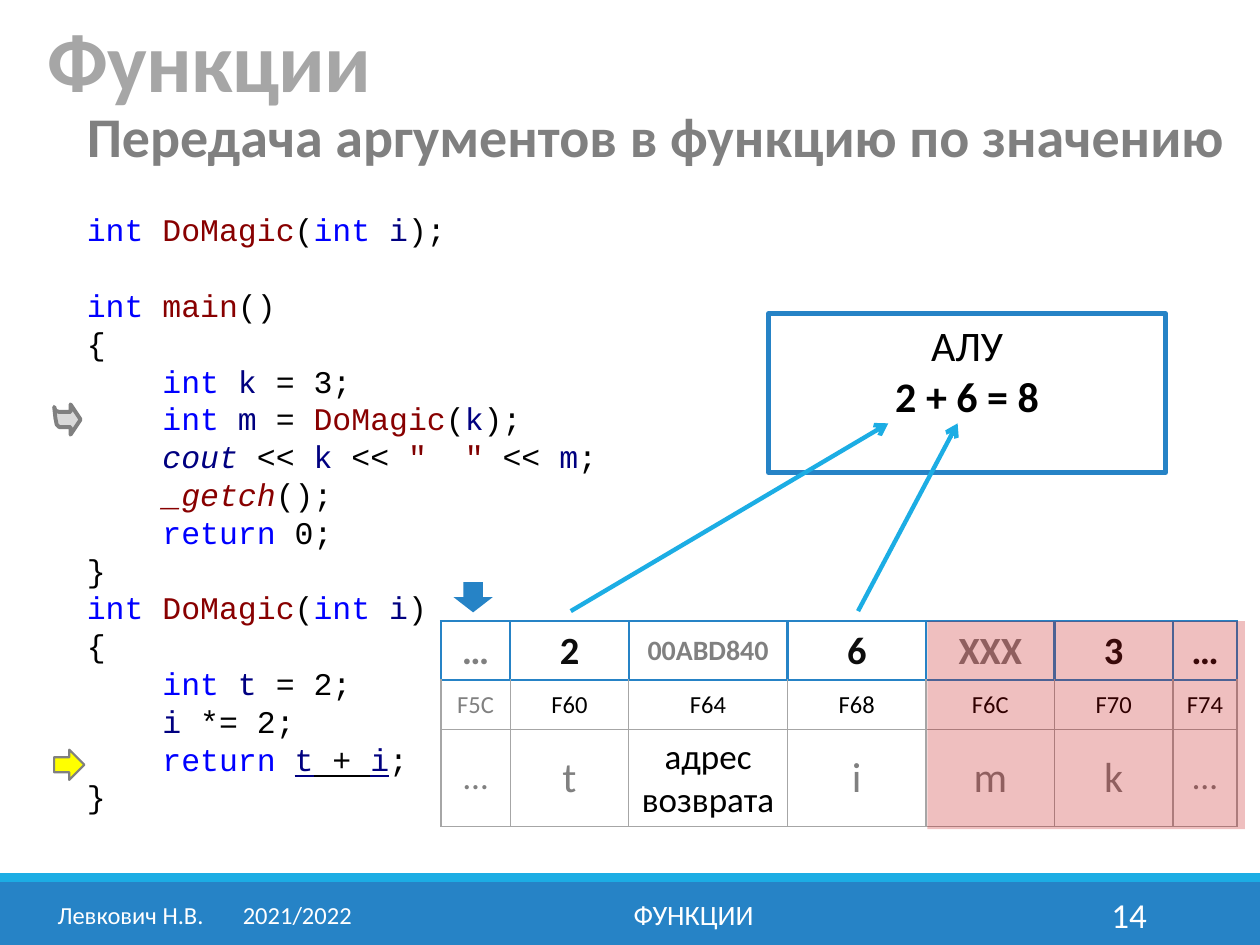
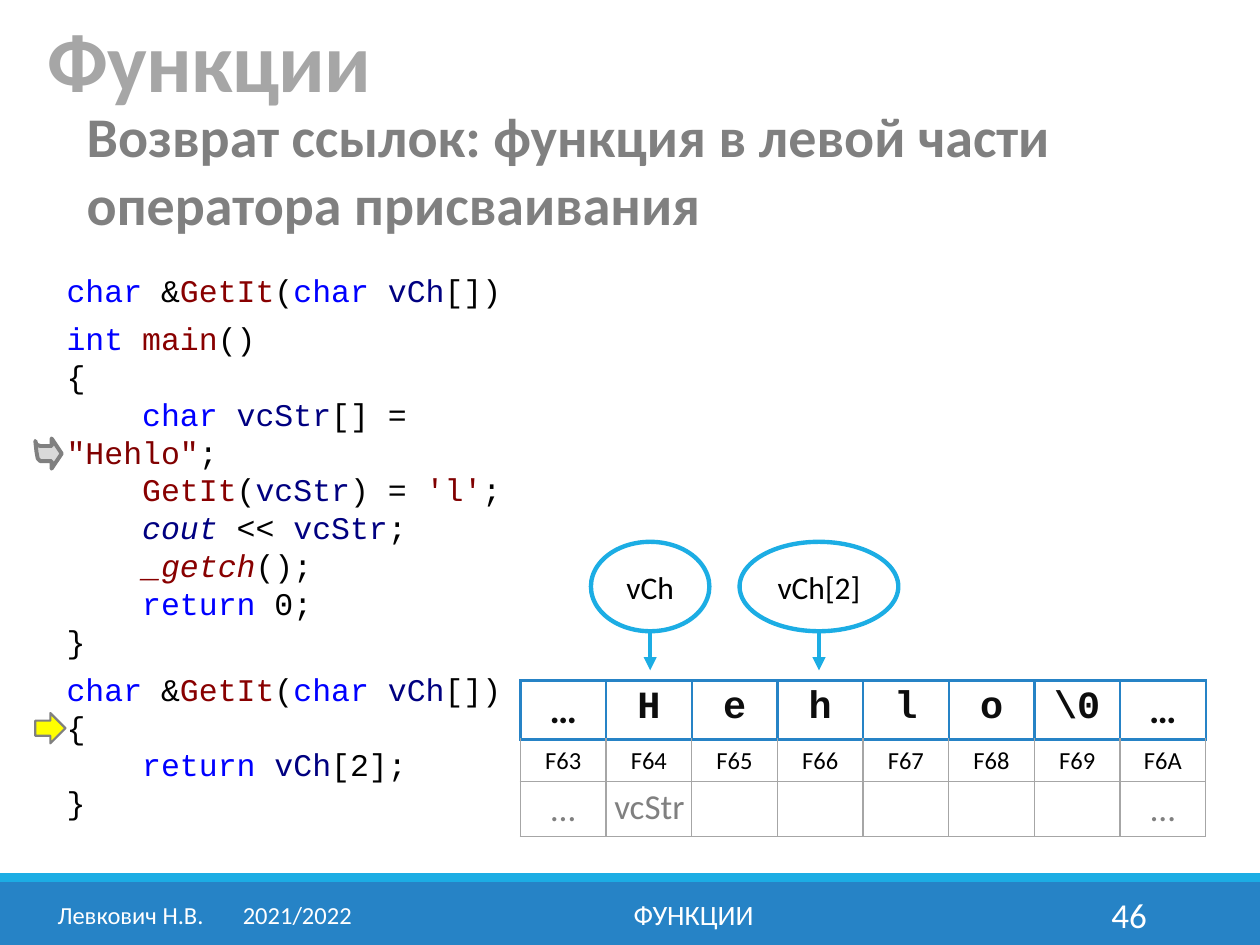
from lxml.etree import SubElement
from pptx import Presentation
from pptx.dml.color import RGBColor
from pptx.enum.shapes import MSO_CONNECTOR, MSO_SHAPE as SHAPE
from pptx.enum.text import MSO_ANCHOR as ANCHOR, MSO_AUTO_SIZE as AUTO, PP_ALIGN as ALIGN
from pptx.oxml.ns import qn
from pptx.util import Inches, Pt

BLUE, CYAN, WHITE, BLACK, INK = "2683C6", "1CADE4", "FFFFFF", "000000", "0D0D0D"
GRAY, SILVER, PALE, YELLOW, RED = "808080", "A6A6A6", "D9D9D9", "FFFF00", "C00000"
SANS, MONO = "Calibri", "Courier New"
CODE_SIZE, CODE_LINE = 18, 21.6

# Code tokens are separated by "|"; a leading "~" underlines a token.
TOKEN_COLORS = {
    "0000FF": ("int", "char", "return"),
    "880000": ("DoMagic", "main", "GetIt", "_getch"),
    "000080": ("i", "k", "m", "t", "cout", "vCh", "vcStr"),
    "800000": ('"  "', '"Hehlo"', "'l'"),
}
COLOR_OF = {token: color for color, tokens in TOKEN_COLORS.items() for token in tokens}
ITALIC_TOKENS = ("cout", "_getch")

# Code lines, each with the space before it in points
VALUE_CODE = [
    ("int| |DoMagic|(|int| |i|);", 0),
    ("int| |main|()", CODE_LINE),
    ("{", 0),
    ("    |int| |k| = 3;", 0),
    ("    |int| |m| = |DoMagic|(|k|);", 0),
    ('    |cout| << |k| << |"  "| << |m|;', 0),
    ("    |_getch|();", 0),
    ("    |return| 0;", 0),
    ("}", 0),
    ("int| |DoMagic|(|int| |i|)", 0),
    ("{", 0),
    ("    |int| |t| = 2;", 0),
    ("    |i| *= 2;", 0),
    ("    |return| |~t|~ + |~i|;", 0),
    ("}", 0),
]
REFERENCE_CODE = [
    ("char| &|GetIt|(|char| |vCh|[])", 0),
    ("int| |main|()", 6),
    ("{", 0),
    ('    |char| |vcStr|[] = |"Hehlo"|;', 0),
    ("    |GetIt|(|vcStr|) = |'l'|;", 0),
    ("    |cout| << |vcStr|;", 0),
    ("    |_getch|();", 0),
    ("    |return| 0;", 0),
    ("}", 0),
    ("char| &|GetIt|(|char| |vCh|[])", 6),
    ("{", 0),
    ("    |return| |vCh|[2];", 0),
    ("}", 0),
]

# Memory rows: values, addresses, names; a cell may carry its own style
ROW_STYLES = [
    {"size": 22, "color": INK, "bold": True},
    {"size": 14, "color": BLACK},
    {"size": 20, "color": GRAY},
]
FADED, LARGE = {"color": GRAY}, {"size": 24}
STACK_ROWS = [
    [("…", FADED), "2", ("00ABD840", {"size": 16, "color": GRAY}), "6", ("XXX", FADED), "3", "…"],
    [("F5С", FADED), "F60", "F64", "F68", "F6С", "F70", "F74"],
    ["…", ("t", LARGE), ("адрес возврата", {"color": BLACK}),
     ("i", LARGE), ("m", LARGE), ("k", LARGE), "…"],
]
STACK_COLUMNS = [0.55, 0.94, 1.26, 1.1, 1.02, 0.94, 0.51]
STRING_ROWS = [
    ["…"] + [(char, {"font": MONO}) for char in ("H", "e", "h", "l", "o", "\\0")] + ["…"],
    ["F63", "F64", "F65", "F66", "F67", "F68", "F69", "F6A"],
    ["…"] + [""] * 6 + ["…"],
]
STRING_COLUMNS = [0.68] * 8

POINTERS = [("vCh", 4.69, 0.94), ("vCh[2]", 5.87, 1.26)]
ALU_ARROWS = [((6.81, 4.85), (7.6, 3.36)), ((4.53, 4.85), (7.05, 3.36))]

# Outline of the call marker in hundredths of an inch
CALL_MARKER = [(4, 6), (13, 6), (13, 0), (21, 12), (13, 24), (13, 18), (4, 18),
               (2, 16), (1, 11), (0, 2), (1, 5)]


def rgb(color):
    return RGBColor.from_string(color)


def style_font(font, size, color, bold=False, name=SANS):
    font.size, font.bold, font.name = Pt(size), bold, name
    font.color.rgb = rgb(color)


def style_text(frame, size, color, bold=False, font=SANS, align=ALIGN.LEFT):
    for para in frame.paragraphs:
        para.alignment = align
        style_font(para.font, size, color, bold, font)
        for span in para.runs:
            style_font(span.font, size, color, bold, font)


def add_text(slide, area, text, size, color, bold=False, align=ALIGN.LEFT, anchor=ANCHOR.TOP):
    box = slide.shapes.add_textbox(*map(Inches, area))
    frame = box.text_frame
    frame.word_wrap, frame.vertical_anchor = True, anchor
    frame.paragraphs[0].text = text
    style_text(frame, size, color, bold, align=align)
    return frame


def paint(shape, fill=None, line=None, width=1):
    shape.shadow.inherit = False
    if fill:
        shape.fill.solid()
        shape.fill.fore_color.rgb = rgb(fill)
    else:
        shape.fill.background()
    if line:
        shape.line.color.rgb = rgb(line)
        shape.line.width = Pt(width)
    else:
        shape.line.fill.background()


def add_box(slide, kind, area, fill=None, line=None, width=1):
    box = slide.shapes.add_shape(kind, *map(Inches, area))
    paint(box, fill, line, width)
    return box


def add_arrow(slide, start, end, head):
    arrow = slide.shapes.add_connector(MSO_CONNECTOR.STRAIGHT, *map(Inches, start + end))
    arrow.line.color.rgb = rgb(CYAN)
    arrow.line.width = Pt(2.5)
    SubElement(arrow.line._get_or_add_ln(), qn("a:tailEnd"), type=head)
    SubElement(arrow.element.spPr, qn("a:effectLst"))


def add_code(slide, area, lines):
    frame = add_text(slide, area, "", CODE_SIZE, BLACK)
    for number, (line, space) in enumerate(lines):
        para = frame.add_paragraph() if number else frame.paragraphs[0]
        para.space_before, para.line_spacing = Pt(space), Pt(CODE_LINE)
        for token in line.split("|"):
            span = para.add_run()
            span.text = token.lstrip("~")
            style_font(span.font, CODE_SIZE, COLOR_OF.get(span.text, BLACK), name=MONO)
            span.font.italic = span.text in ITALIC_TOKENS
            span.font.underline = token.startswith("~")


def add_call_marker(slide, left, top):
    """Mark the line of the pending call."""
    builder = slide.shapes.build_freeform(*CALL_MARKER[0], scale=Inches(0.01))
    builder.add_line_segments(CALL_MARKER[1:], close=True)
    paint(builder.convert_to_shape(Inches(left), Inches(top)), PALE, GRAY, 2.25)


def add_line_marker(slide, left, top):
    """Mark the line being executed."""
    add_box(slide, SHAPE.RIGHT_ARROW, (left, top, 0.24, 0.24), YELLOW, GRAY, 1.25)


def set_borders(cell, row):
    properties = cell._tc.get_or_add_tcPr()
    for position, side in enumerate(("lnL", "lnR", "lnT", "lnB")):
        strong = row == 0 or (row == 1 and side == "lnT")
        border = SubElement(properties, qn("a:" + side), w=str(Pt(1.5 if strong else 1)))
        fill = SubElement(border, qn("a:solidFill"))
        SubElement(fill, qn("a:srgbClr"), val=BLUE if strong else SILVER)
        properties.insert(position, border)


def add_memory(slide, left, top, columns, heights, rows):
    frame = slide.shapes.add_table(len(rows), len(columns), Inches(left), Inches(top),
                                   Inches(sum(columns)), Inches(sum(heights)))
    table = frame.table
    table.first_row = table.horz_banding = False
    for column, width in zip(table.columns, columns):
        column.width = Inches(width)
    for row, (cells, height) in enumerate(zip(rows, heights)):
        table.rows[row].height = Inches(height)
        for column, content in enumerate(cells):
            text, own = content if isinstance(content, tuple) else (content, {})
            style = {**ROW_STYLES[row], **own}
            cell = table.cell(row, column)
            cell.text_frame.text = text
            style_text(cell.text_frame, align=ALIGN.CENTER, **style)
            middle = row > 0 or style["size"] < ROW_STYLES[0]["size"]
            cell.vertical_anchor = ANCHOR.MIDDLE if middle else ANCHOR.TOP
            cell.fill.solid()
            cell.fill.fore_color.rgb = rgb(WHITE)
            set_borders(cell, row)


def add_bands(slide):
    """Put the footer bands on the layout, so that every slide shows them."""
    layout_tree = slide.slide_layout.shapes.element
    for area, color in (((0, 7, 10, 0.5), BLUE), ((0, 6.93, 10, 0.07), CYAN)):
        layout_tree.append(add_box(slide, SHAPE.RECTANGLE, area, color).element)


def add_footer(slide, number):
    author = add_text(slide, (0.32, 7.06, 2.61, 0.4), "Левкович Н.В.\t2021/2022", 14, WHITE,
                      align=ALIGN.CENTER, anchor=ANCHOR.MIDDLE)
    tabs = SubElement(author.paragraphs[0]._p.get_or_add_pPr(), qn("a:tabLst"))
    SubElement(tabs, qn("a:tab"), pos=str(Inches(1.47)), algn="l")
    tabs.getparent().insert(0, tabs)
    add_text(slide, (3.02, 7.06, 4.97, 0.4), "ФУНКЦИИ", 16, WHITE,
             align=ALIGN.CENTER, anchor=ANCHOR.MIDDLE)
    add_text(slide, (8.12, 7.06, 1.08, 0.4), number, 20, WHITE,
             align=ALIGN.RIGHT, anchor=ANCHOR.MIDDLE)


def add_page(deck, subtitle, subtitle_size, number):
    slide = deck.slides.add_slide(deck.slide_layouts[5])
    title = slide.shapes.title
    title.left, title.top, title.width, title.height = map(Inches, (0.28, 0, 8.25, 0.92))
    frame = title.text_frame
    frame.text = "Функции"
    frame.vertical_anchor, frame.auto_size = ANCHOR.BOTTOM, AUTO.NONE
    style_text(frame, 48, SILVER, bold=True)
    para = frame.paragraphs[0]
    para.line_spacing = 0.85
    para.runs[0]._r.get_or_add_rPr().set("spc", "-50")
    heading = add_text(slide, (0.59, 0.76) + subtitle_size, subtitle, 32, GRAY, bold=True)
    heading.word_wrap, heading.auto_size = False, AUTO.SHAPE_TO_FIT_TEXT
    add_footer(slide, number)
    return slide


def build_value_slide(deck):
    slide = add_page(deck, "Передача аргументов в функцию по значению", (9.32, 0.64), "14")
    add_bands(slide)
    add_code(slide, (0.59, 1.62, 4.49, 4.95), VALUE_CODE)
    add_memory(slide, 3.5, 4.93, STACK_COLUMNS, (0.47, 0.39, 0.77), STACK_ROWS)
    unit = add_box(slide, SHAPE.RECTANGLE, (6.1, 2.49, 3.15, 1.26), line=BLUE, width=3)
    unit.text_frame.text = "АЛУ\n2 + 6 = 8"
    unit.text_frame.vertical_anchor = ANCHOR.TOP
    style_text(unit.text_frame, 24, BLACK, align=ALIGN.CENTER)
    unit.text_frame.paragraphs[1].runs[0].font.bold = True
    add_line_marker(slide, 0.43, 5.95)
    add_call_marker(slide, 0.43, 3.21)
    add_box(slide, SHAPE.DOWN_ARROW, (3.6, 4.62, 0.31, 0.24), BLUE)
    caller = add_box(slide, SHAPE.RECTANGLE, (7.36, 4.93, 2.52, 1.65), RED)
    tint = caller.element.spPr.find(qn("a:solidFill"))[0]
    SubElement(tint, qn("a:alpha"), val="25000")
    for start, end in ALU_ARROWS:
        add_arrow(slide, start, end, "arrow")


def build_reference_slide(deck):
    slide = add_page(deck, "Возврат ссылок: функция в левой части\vоператора присваивания",
                     (7.93, 1.18), "46")
    add_code(slide, (0.43, 2.1, 4.09, 4.21), REFERENCE_CODE)
    add_memory(slide, 4.13, 5.4, STRING_COLUMNS, (0.47, 0.33, 0.43), STRING_ROWS)
    add_text(slide, (4.76, 6.12, 0.79, 0.55), "vcStr", 20, GRAY,
             align=ALIGN.CENTER, anchor=ANCHOR.MIDDLE)
    add_line_marker(slide, 0.28, 5.66)
    add_call_marker(slide, 0.28, 3.48)
    for name, left, width in POINTERS:
        bubble = add_box(slide, SHAPE.OVAL, (left, 4.3, width, 0.71), line=CYAN, width=2.5)
        bubble.text_frame.text = name
        bubble.text_frame.word_wrap = False
        style_text(bubble.text_frame, 18, BLACK, align=ALIGN.CENTER)
        center = left + width / 2
        add_arrow(slide, (center, 5.01), (center, 5.32), "triangle")


def main():
    deck = Presentation()
    deck.slide_width, deck.slide_height = Inches(10), Inches(7.5)
    build_value_slide(deck)
    build_reference_slide(deck)
    deck.save("out.pptx")


if __name__ == "__main__":
    main()
